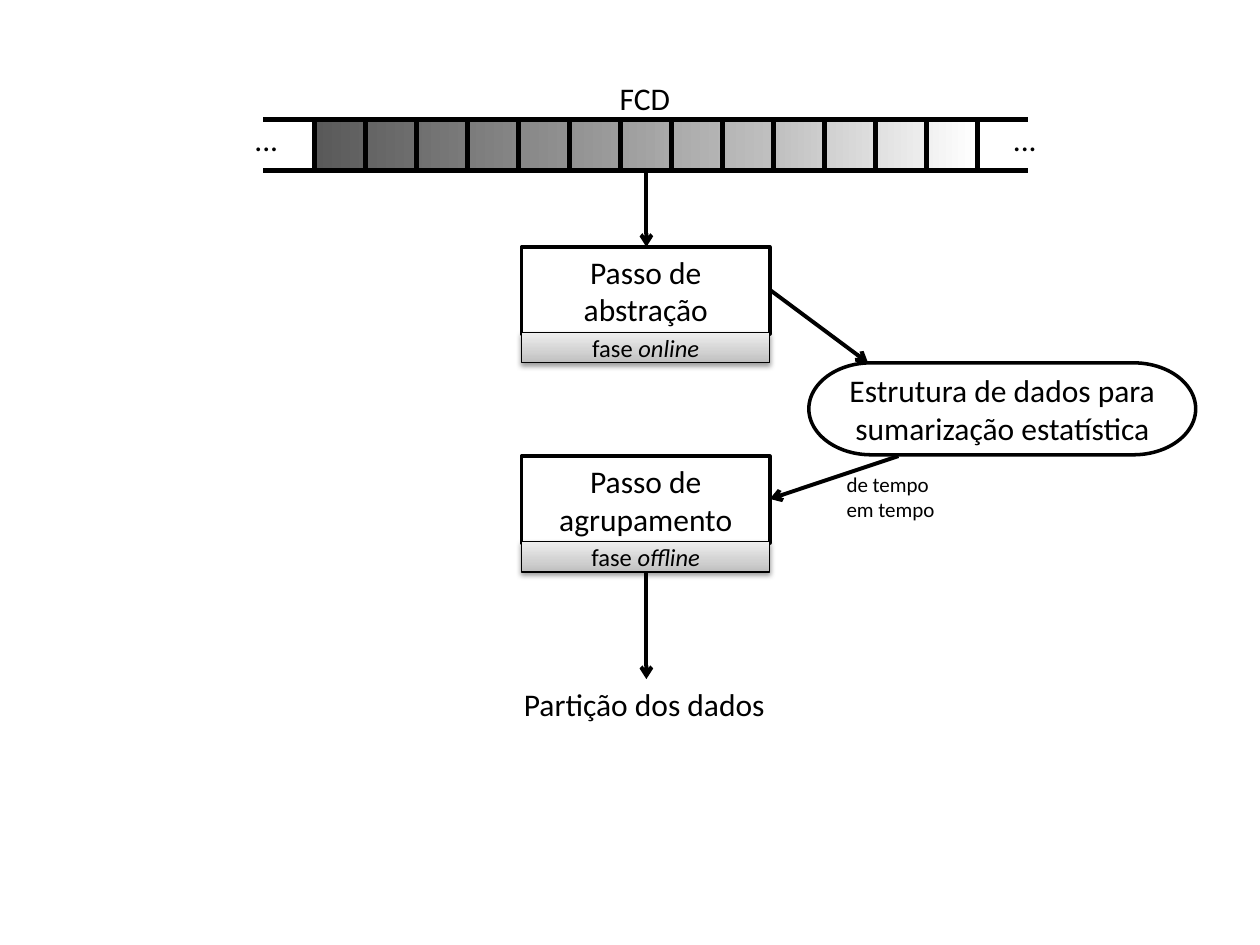
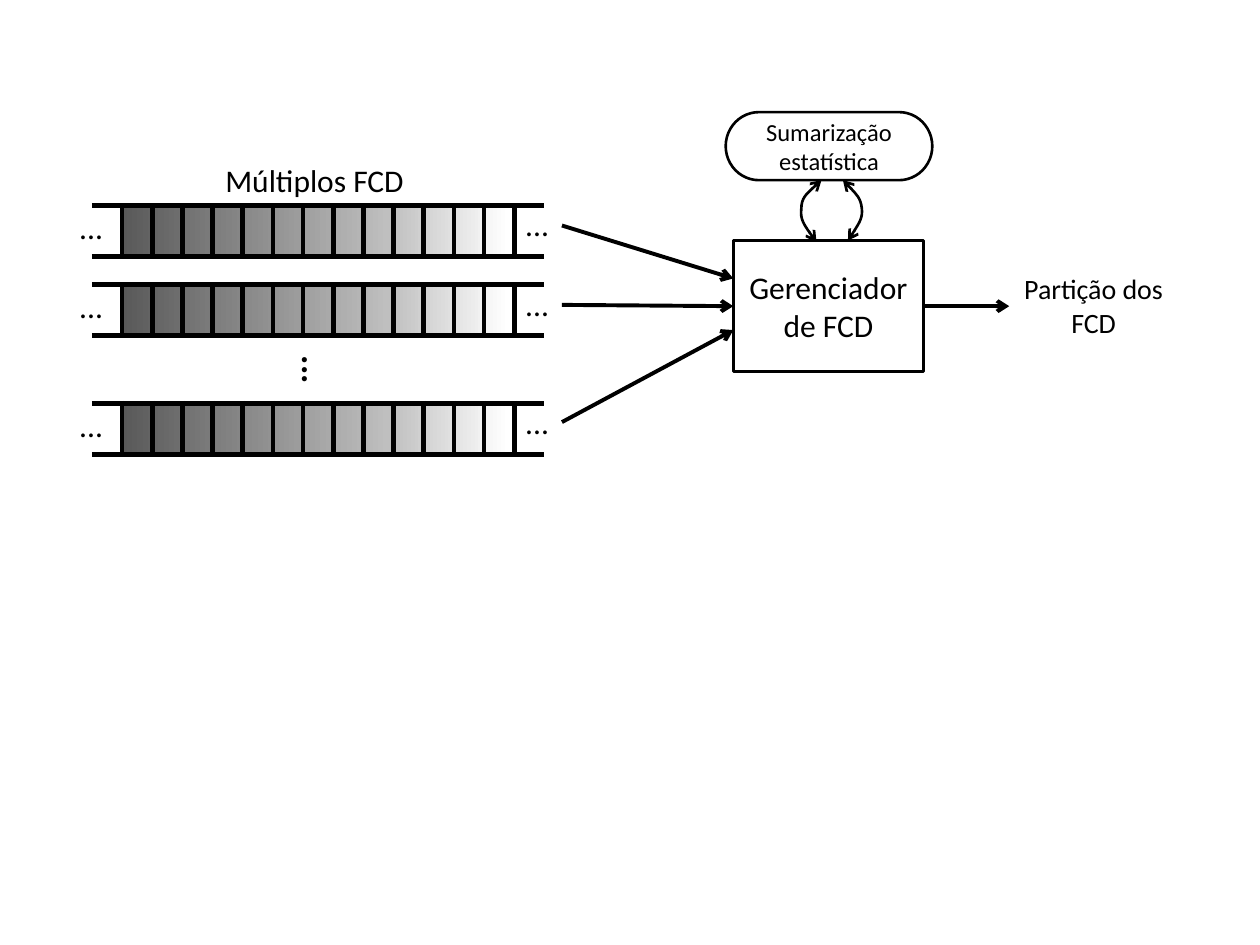
from copy import deepcopy
from pptx import Presentation
from pptx.dml.color import RGBColor
from pptx.enum.shapes import MSO_CONNECTOR as CONN, MSO_SHAPE as SHAPE
from pptx.enum.text import MSO_ANCHOR as ANCHOR, MSO_AUTO_SIZE as AUTO, PP_ALIGN as ALIGN
from pptx.oxml.ns import qn
from pptx.oxml.xmlchemy import OxmlElement
from pptx.util import Inches, Pt

# Shared look
rgb = RGBColor.from_string
FONT, INK, PAPER = "Calibri", "000000", "FFFFFF"
STREAM_STOPS = [(0, "595959"), (0.69, "BFBFBF"), (1, "FFFFFF")]
PHASE_STOPS = [(0, "BDBDBD"), (0.35, "D1D1D1"), (1, "EEEEEE")]
NO_STYLE = "{2D5ABB26-0587-4C30-8999-92F81FD0307C}"
CELLS = 15

prs = Presentation()
prs.slide_width, prs.slide_height = Inches(10), Inches(7.5)
COL, ROW = prs.slide_width / 100, prs.slide_height / 75  # layout grid of 100 x 75
STREAM_H = 4.05


def style_line(sp, width, ends=()):
    """Black outline without shadow, with arrowheads at the named ends."""
    sp.line.color.rgb = rgb(INK)
    sp.line.width = Pt(width)
    spPr = sp._element.spPr
    for end in ends:
        head = OxmlElement(f"a:{end}End")
        head.set("type", "arrow")
        spPr.find(qn("a:ln")).append(head)
    if spPr.find(qn("a:effectLst")) is None:
        spPr.append(OxmlElement("a:effectLst"))


def add_box(s, x, y, w, h, text, size=18, kind=None, line=2, italic="", wrap=True, align=None):
    """Preset shape with centred text, or a text box when no kind is given."""
    area = [int(v) for v in (x * COL, y * ROW, w * COL, h * ROW)]
    if kind:
        sp = s.shapes.add_shape(kind, *area)
        sp.fill.solid()
        sp.fill.fore_color.rgb = rgb(PAPER)
        style_line(sp, line)
        align = ALIGN.CENTER
    else:
        sp = s.shapes.add_textbox(*area)
    tf = sp.text_frame
    tf.text = text
    tf.word_wrap = wrap
    if kind:
        tf.vertical_anchor = ANCHOR.MIDDLE
    else:
        tf.auto_size = AUTO.SHAPE_TO_FIT_TEXT
    p = tf.paragraphs[0]
    p.alignment = align
    if italic:
        r = p.add_run()
        r.text = italic
        r.font.italic = True
    for r in p.runs:
        r.font.name, r.font.size = FONT, Pt(size)
        r.font.color.rgb = rgb(INK)
    return sp


s1, s2 = [prs.slides.add_slide(prs.slide_layouts[6]) for _ in range(2)]
gradients = []  # (fill, element that holds it, stops, angle)

# Streams: a gradient band under a grid that is open at both ends
streams = [(s1, 20.9, 9.5, 4.05, 19.2, 79.4, -0.5)]
streams += [(s2, 7.3, y, 2.36, 5.3, 40.7, -0.3) for y in (16.3, 22.6, 32)]
for s, x, y, cell_w, left_dots, right_dots, left_drop in streams:
    band_w = (CELLS - 2) * cell_w
    for n, left, width in [(1, x + cell_w, band_w), (CELLS, x, CELLS * cell_w)]:
        frame = s.shapes.add_table(1, n, int(left * COL), int(y * ROW),
                                   int(width * COL), int(STREAM_H * ROW))
        table = frame.table
        table.first_row = table.horz_banding = False
        frame._element.find(".//" + qn("a:tableStyleId")).text = NO_STYLE
        for i in range(n):
            table.columns[i].width = int(width / n * COL)
            cell = table.cell(0, i)
            tcPr = cell._tc.get_or_add_tcPr()
            if n == 1:
                gradients.append((cell.fill, tcPr, STREAM_STOPS, 0))
                continue
            for side in "LRTB":
                if (i, side) in [(0, "L"), (n - 1, "R")]:
                    continue
                ln = OxmlElement(f"a:ln{side}")
                ln.set("w", str(Pt(3)))
                solid, color = OxmlElement("a:solidFill"), OxmlElement("a:srgbClr")
                color.set("val", INK)
                solid.append(color)
                ln.append(solid)
                tcPr.append(ln)
            cell.fill.background()
    add_box(s, left_dots, y + left_drop, 3.9, 4, "...", wrap=False)
    add_box(s, right_dots, y - 0.5, 3.9, 4, "...", wrap=False)

# Slide 1: the two steps, each with its phase strip
for y, step, phase in [(19.6, "Passo de abstração", "online"),
                       (36.2, "Passo de agrupamento", "offline")]:
    add_box(s1, 41.4, y, 19.7, 6.9, step, kind=SHAPE.RECTANGLE)
    sp = add_box(s1, 41.4, y + 6.8, 19.7, 2.4, "fase ", 14, SHAPE.RECTANGLE, 0.75, phase)
    gradients.append((sp.fill, sp._element.spPr, PHASE_STOPS, 90))
    shadow, color, alpha = [OxmlElement(t) for t in ("a:outerShdw", "a:srgbClr", "a:alpha")]
    for key, value in [("blurRad", Pt(3.1)), ("dist", Pt(1.6)), ("dir", 90 * 60000), ("rotWithShape", 0)]:
        shadow.set(key, str(value))
    color.set("val", INK)
    alpha.set("val", "38000")
    color.append(alpha)
    shadow.append(color)
    sp._element.spPr.find(qn("a:effectLst")).append(shadow)

# Slide 1: summary structure and labels
add_box(s1, 64.2, 28.8, 30.7, 7.3, "Estrutura de dados para sumarização estatística",
        kind=SHAPE.FLOWCHART_TERMINATOR)
add_box(s1, 48.2, 5.8, 6.1, 4, "FCD", wrap=False)
add_box(s1, 40.6, 53.9, 21.4, 4, "Partição dos dados", wrap=False)
add_box(s1, 66.2, 36.9, 10.2, 5, "de tempo em tempo", 12)

# Slide 2: manager, summary and labels
add_box(s2, 58.2, 19.1, 15.1, 10.4, "Gerenciador de FCD", kind=SHAPE.RECTANGLE)
add_box(s2, 57.6, 8.9, 16.4, 5.4, "Sumarização estatística", 14,
        SHAPE.FLOWCHART_TERMINATOR, 1.5)
add_box(s2, 16.9, 12.3, 16.4, 4, "Múltiplos FCD", wrap=False)
add_box(s2, 80.1, 21.1, 13.4, 6.4, "Partição dos FCD", 16, align=ALIGN.CENTER)
sp = add_box(s2, 22.9, 27.2, 4.3, 4.4, "...", 20, wrap=False)
sp.rotation = 90
sp.text_frame.paragraphs[0].runs[0].font.bold = True

# Gradient fills with three stops
for fill, holder, stops, angle in gradients:
    fill.gradient()
    fill.gradient_angle = angle
    stop_list = holder.find(".//" + qn("a:gsLst"))
    stop_list.append(deepcopy(stop_list[-1]))
    for stop, (position, color) in zip(fill.gradient_stops, stops):
        stop.position = position
        stop.color.rgb = rgb(color)

# Straight arrows
arrows = [
    (s1, 51.3, 13.6, 51.3, 19.6), (s1, 51.3, 45.4, 51.3, 53.9),
    (s1, 61.1, 23, 68.9, 28.8), (s1, 71.3, 36.2, 61.1, 39.6),
    (s2, 73.3, 24.3, 80.1, 24.3), (s2, 44.6, 17.9, 58.2, 22.1),
    (s2, 44.6, 24.2, 58.2, 24.3), (s2, 44.6, 33.5, 58.2, 26.2),
]
for s, x1, y1, x2, y2 in arrows:
    sp = s.shapes.add_connector(CONN.STRAIGHT, int(x1 * COL), int(y1 * ROW),
                                int(x2 * COL), int(y2 * ROW))
    style_line(sp, 2.25, ["tail"])

# Curved two-way arrows between summary and manager, two Bezier arcs each
curves = [
    [(66.9, 14.3), (67.6, 15), (68.3, 15.7), (68.4, 16.5), (68.5, 17.3), (67.9, 18.2), (67.3, 19.1)],
    [(65.2, 14.3), (64.4, 15), (63.6, 15.7), (63.6, 16.6), (63.5, 17.4), (64.1, 18.3), (64.8, 19.2)],
]
for curve in curves:
    points = [(int(x * COL), int(y * ROW)) for x, y in curve]
    builder = s2.shapes.build_freeform(*points[0])
    builder.add_line_segments(points[1:], close=False)
    sp = builder.convert_to_shape()
    sp.fill.background()
    segments = list(sp._element.iter(qn("a:lnTo")))
    for i in range(0, len(segments), 3):
        arc = OxmlElement("a:cubicBezTo")
        segments[i].addprevious(arc)
        for segment in segments[i:i + 3]:
            arc.append(segment[0])
            segment.getparent().remove(segment)
    style_line(sp, 1.5, ["head", "tail"])

prs.save("out.pptx")
